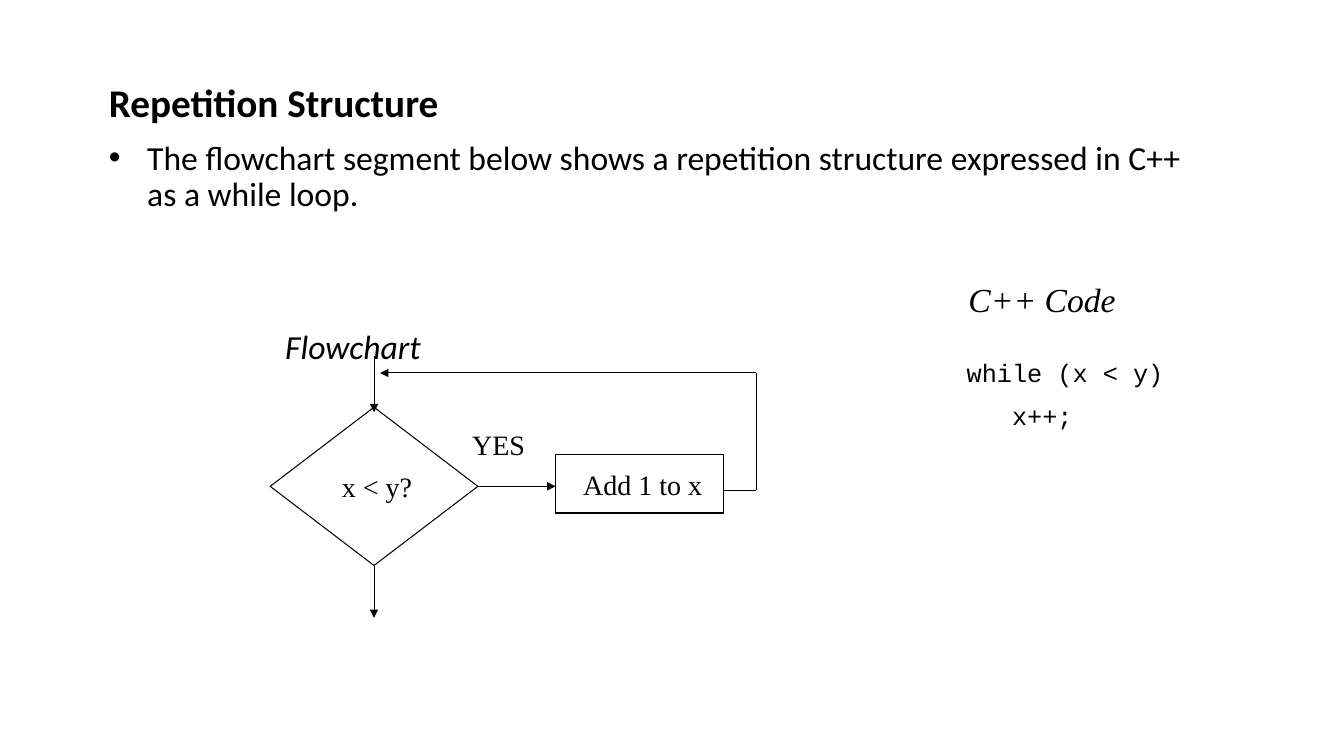
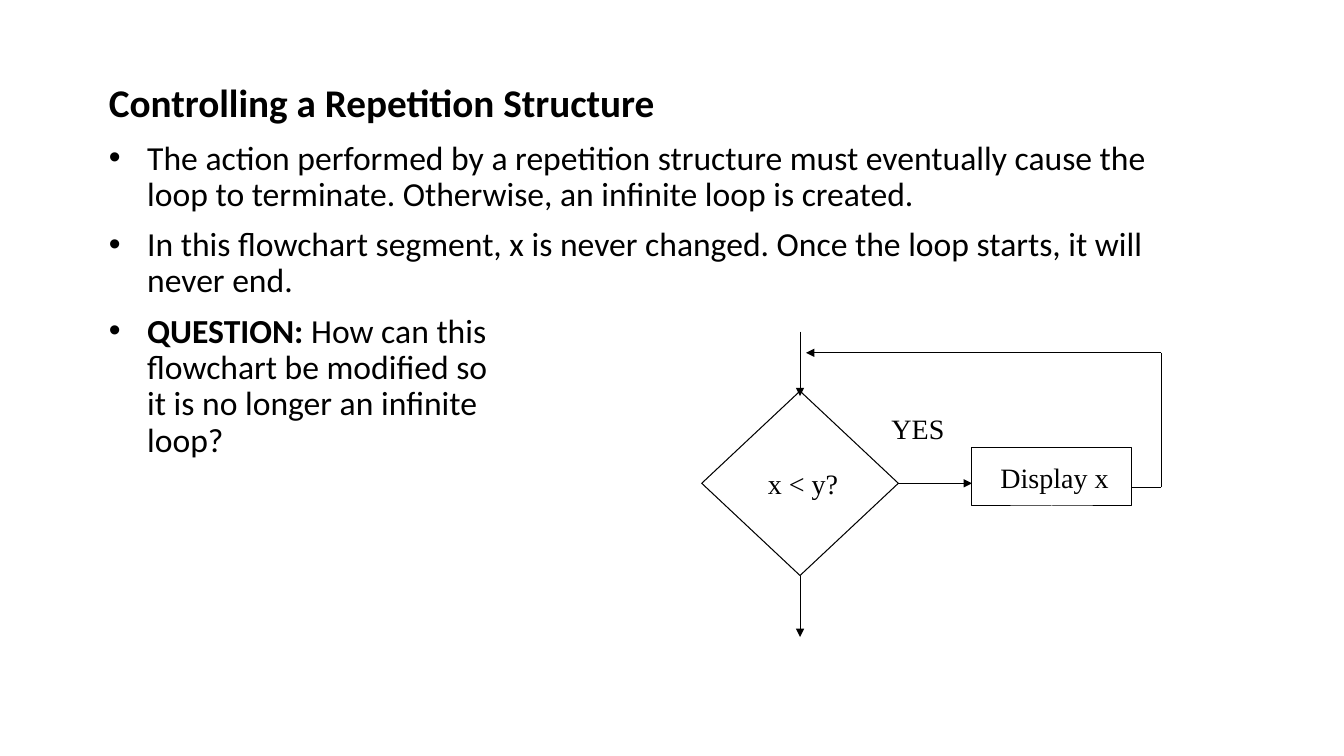
from dataclasses import dataclass

from lxml.etree import SubElement
from pptx import Presentation
from pptx.dml.color import RGBColor
from pptx.enum.shapes import MSO_CONNECTOR, MSO_SHAPE
from pptx.enum.text import MSO_ANCHOR, MSO_AUTO_SIZE, PP_ALIGN
from pptx.oxml.ns import qn
from pptx.util import Inches, Pt


@dataclass(frozen=True)
class Theme:
    ink: RGBColor = RGBColor(0, 0, 0)
    body_font: str = "Calibri"
    chart_font: str = "Times New Roman"
    code_font: str = "Courier New"
    title_size: int = 28
    body_size: int = 24
    chart_size: int = 20
    code_size: int = 18
    line_width: float = 0.75
    line_spacing: float = 0.9
    left: float = 1.08
    top: float = 0.83
    text_width: float = 10.75


@dataclass(frozen=True)
class Box:
    left: float
    top: float
    width: float
    height: float

    @property
    def right(self):
        return self.left + self.width

    @property
    def bottom(self):
        return self.top + self.height

    @property
    def center(self):
        return self.left + self.width / 2

    @property
    def middle(self):
        return self.top + self.height / 2

    def lengths(self):
        return [Inches(side) for side in (self.left, self.top, self.width, self.height)]


THEME = Theme()


def style_font(paragraph, name, size, bold=False, italic=False):
    font = paragraph.font
    font.name, font.size, font.bold, font.italic = name, Pt(size), bold, italic
    font.color.rgb = THEME.ink


def indent(paragraph, margin, first_line=0):
    properties = paragraph._p.get_or_add_pPr()
    properties.set("marL", str(Inches(margin)))
    properties.set("indent", str(Inches(first_line)))


def prepare_frame(frame, anchor=MSO_ANCHOR.TOP, margin=0):
    frame.word_wrap = True
    frame.auto_size = MSO_AUTO_SIZE.NONE
    frame.vertical_anchor = anchor
    frame.margin_left = frame.margin_right = Inches(margin)
    frame.margin_top = frame.margin_bottom = Inches(margin / 2)


def place(placeholder, box):
    placeholder.left, placeholder.top, placeholder.width, placeholder.height = box.lengths()
    prepare_frame(placeholder.text_frame)
    return placeholder.text_frame


def add_lines(paragraph, text, bold=False):
    for number, line in enumerate(text.split("\n")):
        if number:
            paragraph.add_line_break()
        run = paragraph.add_run()
        run.text = line
        if bold:
            run.font.bold = True


def add_text_slide(deck, title, bullets):
    slide = deck.slides.add_slide(deck.slide_layouts[1])
    heading = place(slide.shapes.title, Box(THEME.left, THEME.top, THEME.text_width, 0.5))
    heading.text = title
    heading_line = heading.paragraphs[0]
    heading_line.alignment = PP_ALIGN.LEFT
    heading_line.line_spacing = THEME.line_spacing
    style_font(heading_line, THEME.body_font, THEME.title_size, bold=True)

    body = place(slide.placeholders[1], Box(THEME.left, THEME.top + 0.57, THEME.text_width, 5.4))
    for number, (lead, text) in enumerate(bullets):
        bullet = body.add_paragraph() if number else body.paragraphs[0]
        indent(bullet, 0.38, -0.38)
        bullet.line_spacing = THEME.line_spacing
        bullet.space_before = Pt(10 if number else 0)
        style_font(bullet, THEME.body_font, THEME.body_size)
        if lead:
            add_lines(bullet, lead, bold=True)
        add_lines(bullet, text)
    return slide


def add_label(slide, box, text, font, size, italic=False, alignment=PP_ALIGN.CENTER):
    frame = slide.shapes.add_textbox(*box.lengths()).text_frame
    prepare_frame(frame, margin=0.1)
    frame.text = text
    for paragraph in frame.paragraphs:
        paragraph.alignment = alignment
        style_font(paragraph, font, size, italic=italic)
    return frame


def add_step(slide, preset, box, text):
    step = slide.shapes.add_shape(preset, *box.lengths())
    step.shadow.inherit = False
    step.fill.background()
    step.line.color.rgb = THEME.ink
    step.line.width = Pt(THEME.line_width)
    prepare_frame(step.text_frame, MSO_ANCHOR.MIDDLE)
    step.text_frame.margin_left = Inches(0.06)
    step.text_frame.text = text
    caption = step.text_frame.paragraphs[0]
    caption.alignment = PP_ALIGN.CENTER
    style_font(caption, THEME.chart_font, THEME.chart_size)


def add_flow(slide, start, end, arrow=True):
    points = [Inches(value) for value in (*start, *end)]
    flow = slide.shapes.add_connector(MSO_CONNECTOR.STRAIGHT, *points)
    flow.line.color.rgb = THEME.ink
    flow.line.width = Pt(THEME.line_width)
    if arrow:
        SubElement(flow.line._get_or_add_ln(), qn("a:tailEnd"), type="triangle")
    SubElement(flow._element.spPr, qn("a:effectLst"))


def add_loop(slide, decision, action, action_text, yes, entry_top, exit_bottom, return_x, return_y):
    add_step(slide, MSO_SHAPE.FLOWCHART_DECISION, decision, "x < y?")
    add_step(slide, MSO_SHAPE.RECTANGLE, action, action_text)
    add_label(slide, yes, "YES", THEME.chart_font, THEME.chart_size)

    axis = decision.center
    add_flow(slide, (axis, entry_top), (axis, decision.top + 0.05))
    add_flow(slide, (axis, decision.bottom), (axis, exit_bottom))
    add_flow(slide, (decision.right, decision.middle), (action.left, decision.middle))

    leave_y = decision.middle + 0.04
    add_flow(slide, (action.right, leave_y), (return_x, leave_y), arrow=False)
    add_flow(slide, (return_x, leave_y), (return_x, return_y), arrow=False)
    add_flow(slide, (return_x, return_y), (axis + 0.06, return_y))


def build_repetition(deck):
    slide = add_text_slide(deck, "Repetition Structure", [
        ("", "The flowchart segment below shows a repetition structure "
             "expressed in C++ as a while loop."),
    ])
    add_label(slide, Box(2.73, 3.18, 1.7, 0.5), "Flowchart", THEME.body_font,
              THEME.body_size, italic=True, alignment=PP_ALIGN.LEFT)
    add_loop(slide, Box(2.68, 4.04, 2.06, 1.57), Box(5.51, 4.51, 1.67, 0.58), "Add 1 to x",
             Box(4.38, 4.19, 1.13, 0.43), entry_top=3.53, exit_bottom=6.13,
             return_x=7.5, return_y=3.7)
    add_label(slide, Box(7.81, 2.72, 5.05, 0.5), "C++ Code", THEME.chart_font,
              THEME.body_size, italic=True)
    code = add_label(slide, Box(9.49, 3.5, 3.17, 0.82), "while (x < y)\nx++;",
                     THEME.code_font, THEME.code_size, alignment=PP_ALIGN.LEFT)
    loop_body = code.paragraphs[1]
    loop_body.space_before = Pt(9)
    indent(loop_body, 0.45)


def build_control(deck):
    slide = add_text_slide(deck, "Controlling a Repetition Structure", [
        ("", "The action performed by a repetition structure must eventually cause "
             "the loop to terminate. Otherwise, an infinite loop is created."),
        ("", "In this flowchart segment, x is never changed. Once the loop starts, "
             "it will never end."),
        ("QUESTION: ", "How can this\nflowchart be modified so\n"
                       "it is no longer an infinite\nloop?"),
    ])
    add_loop(slide, Box(6.96, 3.88, 1.95, 1.83), Box(9.64, 4.44, 1.58, 0.58), "Display x",
             Box(8.57, 4.03, 1.07, 0.43), entry_top=3.29, exit_bottom=6.32,
             return_x=11.52, return_y=3.5)


def main():
    deck = Presentation()
    deck.slide_width, deck.slide_height = Inches(13.33), Inches(7.5)
    build_repetition(deck)
    build_control(deck)
    deck.save("out.pptx")


main()
